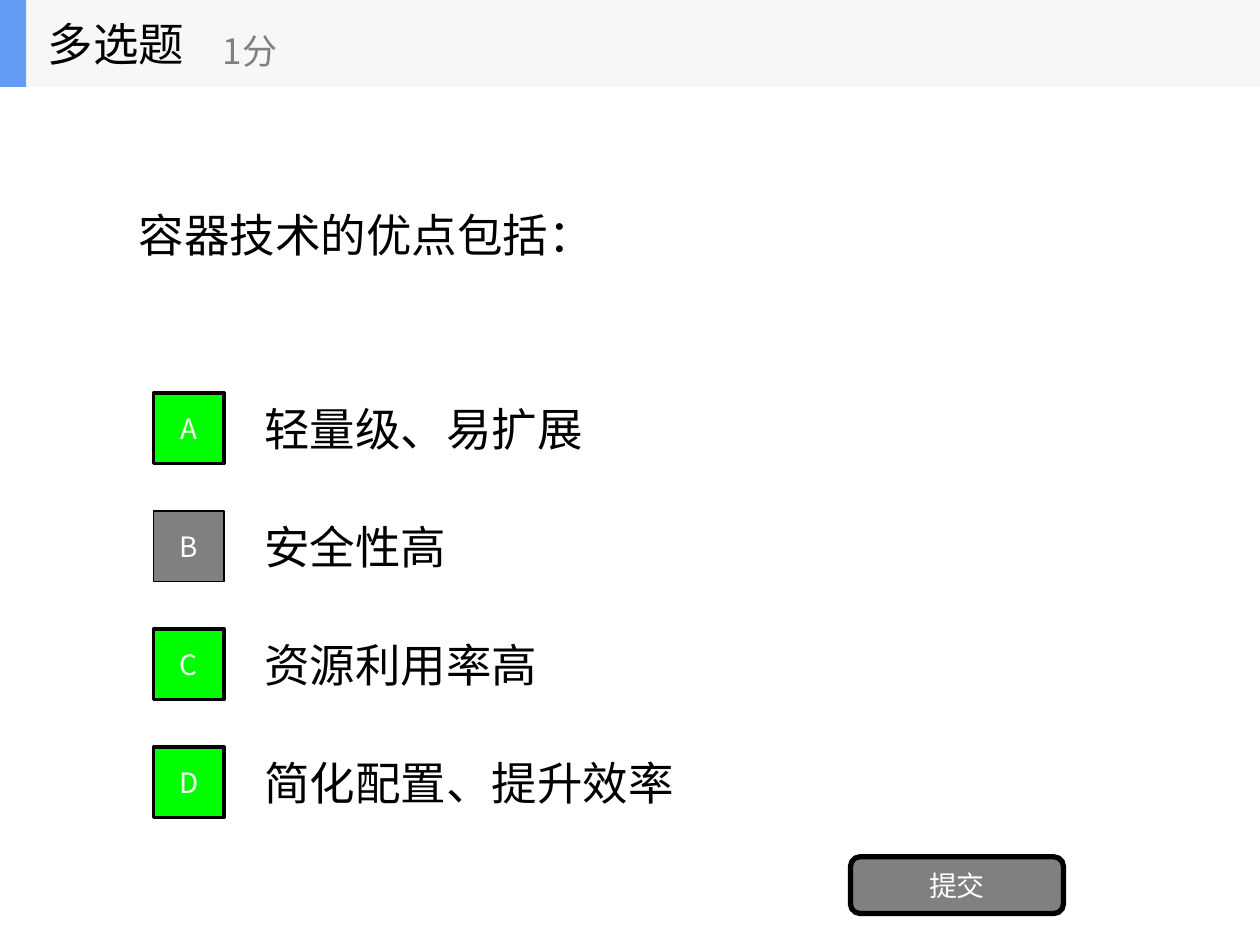
import pptx
import pptx.dml.color
import pptx.enum.shapes
import pptx.enum.text
import pptx.oxml
import pptx.oxml.ns
import pptx.util

Pt = pptx.util.Pt
SHAPE = pptx.enum.shapes.MSO_SHAPE
ALIGN = pptx.enum.text.PP_ALIGN

COLORS = {
    "text": "000000",
    "outline": "000000",
    "label": "FFFFFF",
    "muted": "808080",
    "chosen": "00FF00",
    "band": "F6F7F8",
    "accent": "639EF4",
}
OPTIONS = [
    ("A", "轻量级、易扩展", True),
    ("B", "安全性高", False),
    ("C", "资源利用率高", True),
    ("D", "简化配置、提升效率", True),
]
OPTION_TOP, OPTION_PITCH, OPTION_HEIGHT = 219.6, 67.44, 50.4
MARK_SIZE = 40.3
HEADER_HEIGHT = 49.7


def rgb(name):
    return pptx.dml.color.RGBColor.from_string(COLORS[name])


class QuizSlide:
    """Holds the text style and the slide being filled."""

    font_name = "Noto Sans CJK SC"
    frame_format = {
        "word_wrap": True,
        "auto_size": pptx.enum.text.MSO_AUTO_SIZE.NONE,
        "vertical_anchor": pptx.enum.text.MSO_ANCHOR.MIDDLE,
    }

    def __init__(self, slide):
        self.slide = slide

    def set_words(self, shape, words, size, color, align=ALIGN.LEFT):
        frame = shape.text_frame
        for name, value in self.frame_format.items():
            setattr(frame, name, value)
        paragraph = frame.paragraphs[0]
        paragraph.alignment = align
        run = paragraph.add_run()
        run.text = words
        font_format = {"name": self.font_name, "size": Pt(size), "bold": False}
        for name, value in font_format.items():
            setattr(run.font, name, value)
        run.font.color.rgb = rgb(color)
        east_asian = pptx.oxml.parse_xml(
            f'<a:ea {pptx.oxml.ns.nsdecls("a")} typeface="{self.font_name}"/>')
        run.font._element.find(pptx.oxml.ns.qn("a:latin")).addnext(east_asian)

    def title(self, box, words, size=26):
        title = self.slide.shapes.title
        for name, value in zip(("left", "top", "width", "height"), box):
            setattr(title, name, Pt(value))
        self.set_words(title, words, size, "text")

    def text(self, box, words, size=26, color="text", parent=None):
        textbox = (parent or self.slide).shapes.add_textbox(*map(Pt, box))
        self.set_words(textbox, words, size, color)

    def block(self, box, fill, kind=SHAPE.RECTANGLE, border=0, parent=None):
        block = (parent or self.slide).shapes.add_shape(kind, *map(Pt, box))
        block.shadow.inherit = False
        block.fill.solid()
        block.fill.fore_color.rgb = rgb(fill)
        if border:
            block.line.color.rgb = rgb("outline")
            block.line.width = Pt(border)
        else:
            block.line.fill.background()
        return block

    def button(self, box, words, fill, border, kind=SHAPE.RECTANGLE):
        button = self.block(box, fill, kind, border)
        self.set_words(button, words, 16, "label", ALIGN.CENTER)

    def header(self, kind_of_question, score):
        header = self.slide.shapes.add_group_shape()
        self.block((0, 0, 720, HEADER_HEIGHT), "band", parent=header)
        self.block((0, 0, 15, HEADER_HEIGHT), "accent", parent=header)
        self.text((20.2, 0, 150, HEADER_HEIGHT), kind_of_question, parent=header)
        self.text((120.2, 8.7, 180, 40.3), score, 20, "muted", header)


def main():
    presentation = pptx.Presentation()
    presentation.slide_width, presentation.slide_height = Pt(720), Pt(540)
    title_only = presentation.slide_layouts[5]
    quiz = QuizSlide(presentation.slides.add_slide(title_only))

    quiz.title((72, HEADER_HEIGHT, 576, 168.5), "容器技术的优点包括：")
    for row, (letter, answer, chosen) in enumerate(OPTIONS):
        top = OPTION_TOP + row * OPTION_PITCH
        quiz.text((144, top, 504, OPTION_HEIGHT), answer)
        mark_top = top + (OPTION_HEIGHT - MARK_SIZE) / 2
        quiz.button((87.8, mark_top, MARK_SIZE, MARK_SIZE), letter,
                    "chosen" if chosen else "muted", 2 if chosen else 1)
    quiz.button((486, 489.6, 121.7, 32.4), "提交", "muted", 3,
                SHAPE.ROUNDED_RECTANGLE)
    quiz.header("多选题", "1分")
    presentation.save("out.pptx")


if __name__ == "__main__":
    main()
